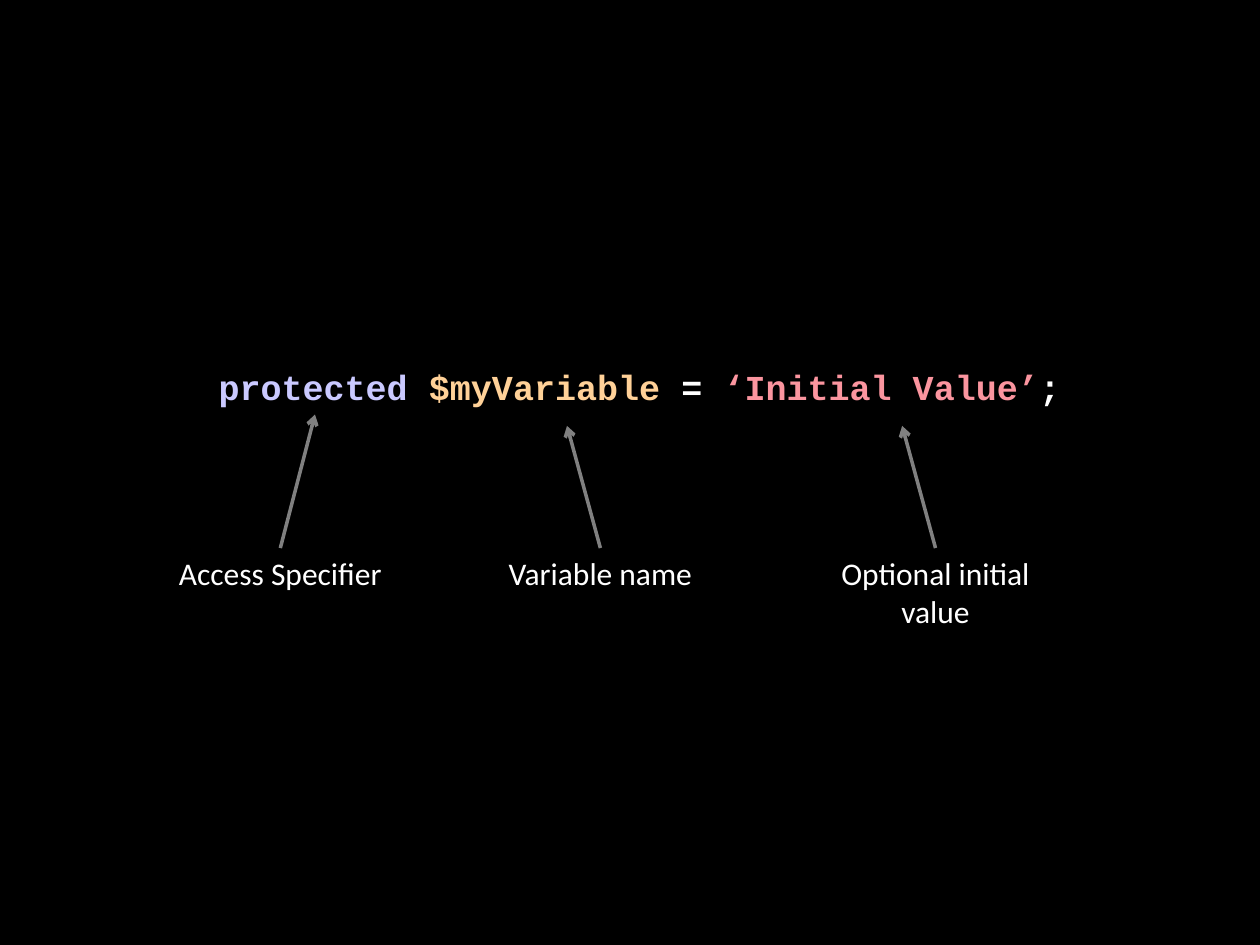
from lxml import etree
from pptx import Presentation
from pptx import util as u
from pptx.dml import color
from pptx.enum import shapes, text
from pptx.oxml import ns

WHITE = "FFFFFF"
GREY = "808080"


def rgb(value):
    return color.RGBColor.from_string(value)


def add_span(para, words, *, font="Calibri", size=18, ink=WHITE, bold=False):
    span = para.add_run()
    span.text = words
    span.font.name = font
    span.font.size = u.Pt(size)
    span.font.bold = bold
    span.font.color.rgb = rgb(ink)


class Sketch:
    code_style = {"font": "Courier New", "size": 20, "bold": True}

    def __init__(self, deck):
        self.slide = deck.slides.add_slide(deck.slide_layouts[6])
        fill = self.slide.background.fill
        fill.solid()
        fill.fore_color.rgb = rgb("000000")

    def text_box(self, left, top, width, height):
        box = self.slide.shapes.add_textbox(*map(u.Inches, (left, top, width, height)))
        box.text_frame.word_wrap = True
        box.text_frame.auto_size = text.MSO_AUTO_SIZE.SHAPE_TO_FIT_TEXT
        para = box.text_frame.paragraphs[0]
        para.alignment = text.PP_ALIGN.CENTER
        return para

    def code(self, left, top, width, height, tokens):
        para = self.text_box(left, top, width, height)
        for words, ink in tokens:
            add_span(para, words, ink=ink, **self.code_style)

    def label(self, left, top, width, height, words):
        add_span(self.text_box(left, top, width, height), words)

    def arrow(self, start, end):
        line = self.slide.shapes.add_connector(
            shapes.MSO_CONNECTOR.STRAIGHT, *map(u.Inches, (*start, *end))
        )
        line.line.color.rgb = rgb(GREY)
        line.line.width = u.Pt(2)
        etree.SubElement(line.line._get_or_add_ln(), ns.qn("a:tailEnd"), type="arrow")
        etree.SubElement(line._element.spPr, ns.qn("a:effectLst"))


def main():
    deck = Presentation()
    deck.slide_width, deck.slide_height = u.Inches(10), u.Inches(7.5)
    sketch = Sketch(deck)
    sketch.code(1.36, 2.85, 7.43, 0.44, [
        ("protected ", "CAC9FF"),
        ("$myVariable ", "FFD198"),
        ("= ", WHITE),
        ("‘Initial Value’", "FB959F"),
        (";", WHITE),
    ])

    label_top, label_width, label_height = 4.35, 2.23, 0.71
    callouts = [
        ("Access Specifier", 1.11, (2.5, 3.29)),
        ("Variable name", 3.65, (4.5, 3.38)),
        ("Optional initial value", 6.31, (7.16, 3.38)),
    ]
    for words, left, target in callouts:
        sketch.label(left, label_top, label_width, label_height, words)
        sketch.arrow((left + label_width / 2, label_top), target)
    deck.save("out.pptx")


if __name__ == "__main__":
    main()
